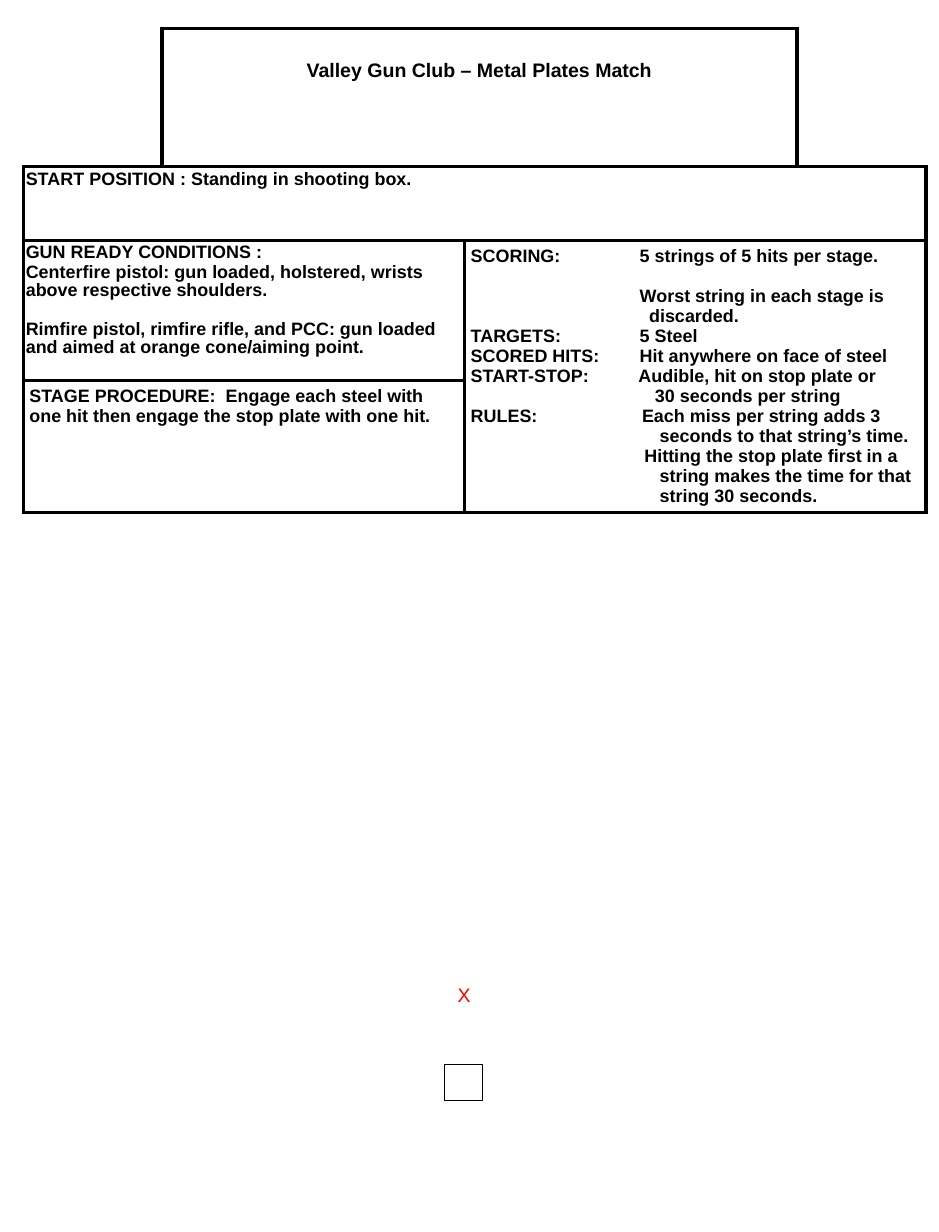
from lxml import etree
from pptx import Presentation
from pptx import util as u
from pptx.dml.color import RGBColor
from pptx.enum import shapes, text
from pptx.oxml import ns

COLUMNS, ROWS = 80, 105  # grid squares of a tenth of an inch

SCORING = [  # label, text, indent in columns, space before in points
    ("SCORING:", "5 strings of 5 hits per stage.", 14.4, 0),
    ("", "Worst string in each stage is", 14.4, 12.3),
    ("", "discarded.", 15.2, 0),
    ("TARGETS:", "5 Steel", 14.4, 0),
    ("SCORED HITS:", "Hit anywhere on face of steel", 14.4, 0),
    ("START-STOP:", "Audible, hit on stop plate or", 14.3, 0),
    ("", "30 seconds per string", 15.7, 0),
    ("RULES:", "Each miss per string adds 3", 14.6, 0),
    ("", "seconds to that string’s time.", 16.1, 0),
    ("", "Hitting the stop plate first in a", 14.8, 0),
    ("", "string makes the time for that", 16.1, 0),
    ("", "string 30 seconds.", 16.1, 0),
]


def rgb(value):
    return RGBColor.from_string(value)


class Sheet:
    font, ink, paper, accent = "Arial", "000000", "FFFFFF", "FF0000"
    border = 2.25

    def __init__(self, deck):
        self.slide = deck.slides.add_slide(deck.slide_layouts[6])
        self.col = deck.slide_width / COLUMNS
        self.row = deck.slide_height / ROWS

    def box(self, left, top, width, height):
        """Turn grid units into slide lengths."""
        return [round(n * unit) for n, unit in
                zip((left, top, width, height), (self.col, self.row) * 2)]

    def style(self, paragraph, size=11, bold=True, color=None):
        paragraph.font.size = u.Pt(size)
        for run in paragraph.runs:
            run.font.name, run.font.size, run.font.bold = self.font, u.Pt(size), bold
            run.font.color.rgb = rgb(color or self.ink)

    def table(self, left, top, widths, heights):
        frame = self.slide.shapes.add_table(
            len(heights), len(widths), *self.box(left, top, sum(widths), sum(heights)))
        table = frame.table
        table.first_row = table.horz_banding = False
        for column, width in zip(table.columns, widths):
            column.width = round(width * self.col)
        for row, height in zip(table.rows, heights):
            row.height = round(height * self.row)
        return table

    def frame_cell(self, cell, edges="LRTB"):
        cell.fill.solid()
        cell.fill.fore_color.rgb = rgb(self.paper)
        props = cell._tc.get_or_add_tcPr()
        for place, edge in enumerate("LRTB"):
            line = etree.Element(ns.qn(f"a:ln{edge}"), w=str(u.Pt(self.border)))
            if edge in edges:
                fill = etree.SubElement(line, ns.qn("a:solidFill"))
                etree.SubElement(fill, ns.qn("a:srgbClr"), val=self.ink)
            else:
                etree.SubElement(line, ns.qn("a:noFill"))
            props.insert(place, line)

    def write_cell(self, cell, lines, side=0.5, top=0.5, size=11, tight=False):
        """Fill a cell with (text, space before) pairs."""
        cell.margin_left = cell.margin_right = round(side * self.col)
        cell.margin_top = round(top * self.row)
        cell.margin_bottom = round(0.3 * self.row)
        cell.text_frame.text = "\n".join(line for line, _ in lines)
        for paragraph, (_, before) in zip(cell.text_frame.paragraphs, lines):
            if before:
                paragraph.space_before = u.Pt(before)
            if tight:
                paragraph.line_spacing = 0.9
            self.style(paragraph, size)

    def indent(self, paragraph, columns, labelled):
        """Tab to the value column after a label, or indent the whole line."""
        props = paragraph._p.get_or_add_pPr()
        offset = str(round(columns * self.col))
        if labelled:
            tabs = etree.SubElement(props, ns.qn("a:tabLst"))
            etree.SubElement(tabs, ns.qn("a:tab"), pos=offset, algn="l")
        else:
            props.set("marL", offset)
            props.set("indent", "0")

    def mark(self, words, *place):
        frame = self.slide.shapes.add_textbox(*self.box(*place)).text_frame
        frame.word_wrap = False
        frame.auto_size = text.MSO_AUTO_SIZE.SHAPE_TO_FIT_TEXT
        frame.text = words
        self.style(frame.paragraphs[0], 12, False, self.accent)

    def square(self, group, place, outlined):
        shape = group.shapes.add_shape(shapes.MSO_SHAPE.RECTANGLE, *self.box(*place))
        shape.shadow.inherit = False
        shape.fill.solid()
        shape.fill.fore_color.rgb = rgb(self.paper)
        if outlined:
            shape.line.color.rgb = rgb(self.ink)
            shape.line.width = u.Pt(0.75)
        else:
            shape.line.fill.background()


def main():
    deck = Presentation()
    deck.slide_width, deck.slide_height = u.Inches(8), u.Inches(10.5)
    sheet = Sheet(deck)

    briefing = sheet.table(2, 2.4, (11.8, 25.8, 28.3, 11), (11.8, 6.3, 11.9, 11.3))
    corners = {(0, 0): "RB", (0, 3): "LB"}
    for r in range(4):
        for c in range(4):
            sheet.frame_cell(briefing.cell(r, c), corners.get((r, c), "LRTB"))
    for first, last in (((0, 1), (0, 2)), ((1, 0), (1, 3)), ((2, 0), (2, 1)),
                        ((2, 2), (3, 3)), ((3, 0), (3, 1))):
        briefing.cell(*first).merge(briefing.cell(*last))

    title = briefing.cell(0, 1)
    sheet.write_cell(title, [("Valley Gun Club – Metal Plates Match", 0)],
                     top=2.7, size=12)
    title.text_frame.paragraphs[0].alignment = text.PP_ALIGN.CENTER
    sheet.write_cell(briefing.cell(1, 0),
                     [("START POSITION : Standing in shooting box.", 0)],
                     side=0.2, top=0.4, tight=True)
    sheet.write_cell(briefing.cell(2, 0), [
        ("GUN READY CONDITIONS :", 0),
        ("Centerfire pistol: gun loaded, holstered, wrists "
         "above respective shoulders.", 1.1),
        ("Rimfire pistol, rimfire rifle, and PCC: gun loaded "
         "and aimed at orange cone/aiming point.", 13.3),
    ], side=0.2, top=0.3, tight=True)
    sheet.write_cell(briefing.cell(3, 0), [
        ("STAGE PROCEDURE:  Engage each steel with one hit "
         "then engage the stop plate with one hit.", 0)])

    scoring = briefing.cell(2, 2)
    sheet.write_cell(scoring, [(f"{label}\t{value}" if label else value, before)
                               for label, value, _, before in SCORING])
    for paragraph, (label, _, columns, _) in zip(scoring.text_frame.paragraphs, SCORING):
        props = paragraph._p.get_or_add_pPr()
        defaults = props.find(ns.qn("a:defRPr"))
        if defaults is not None:
            props.remove(defaults)
        sheet.indent(paragraph, columns, bool(label))

    sheet.mark("X", 38, 83.3, 3.1, 3)
    shooting_box = sheet.slide.shapes.add_group_shape()
    sheet.square(shooting_box, (37.9, 90.7, 3.2, 3.1), True)
    sheet.square(shooting_box, (38.3, 91, 2.6, 2.6), False)
    deck.save("out.pptx")


if __name__ == "__main__":
    main()
